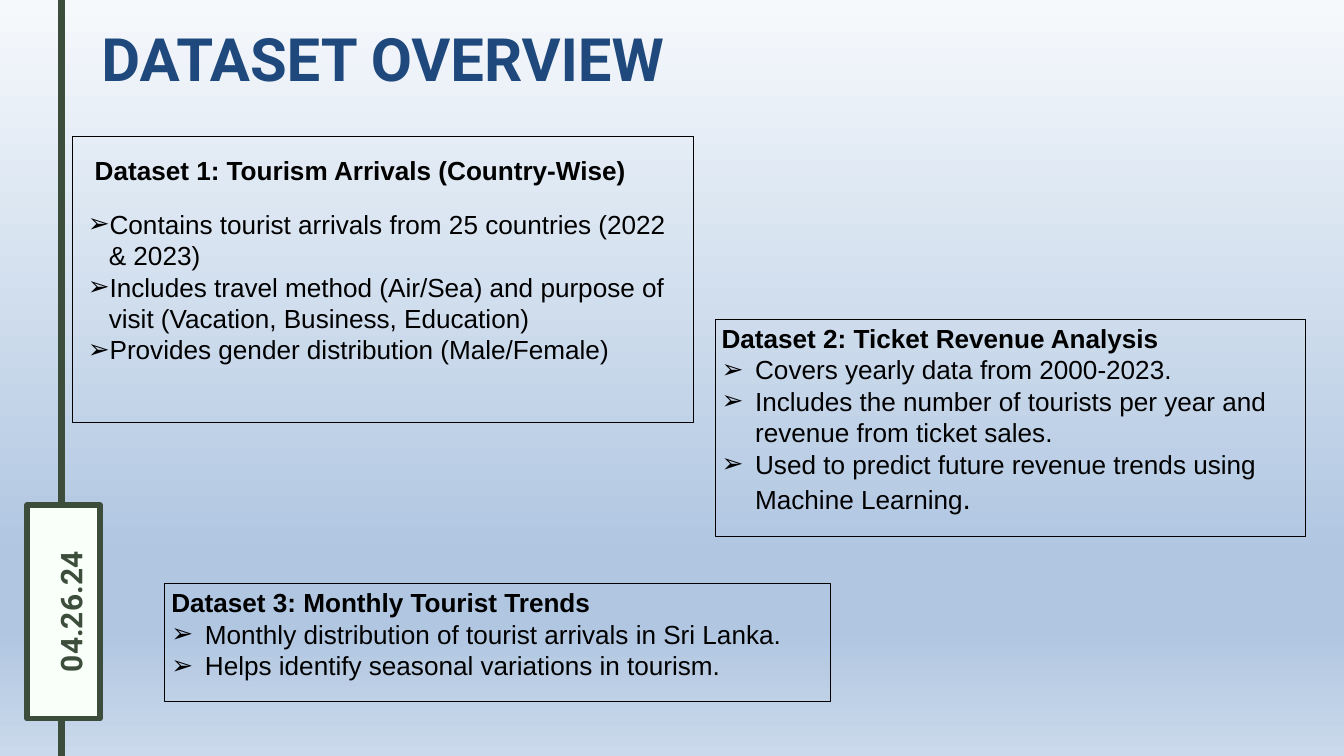
from copy import deepcopy

from lxml.etree import SubElement
from pptx import Presentation
from pptx.dml.color import RGBColor
from pptx.enum.shapes import MSO_CONNECTOR, MSO_SHAPE
from pptx.enum.text import MSO_ANCHOR, MSO_AUTO_SIZE, PP_ALIGN
from pptx.oxml.ns import qn
from pptx.util import Pt

WIDTH, HEIGHT = 1440, 810
BLACK = RGBColor(0x00, 0x00, 0x00)
NAVY = RGBColor(0x1F, 0x49, 0x7D)
MOSS = RGBColor(0x3D, 0x4D, 0x3B)
IVORY = RGBColor(0xF9, 0xFF, 0xF9)
SKY = (
    (0, RGBColor(0xF6, 0xF9, 0xFC)),
    (0.74, RGBColor(0xB0, 0xC6, 0xE1)),
    (0.83, RGBColor(0xB0, 0xC6, 0xE1)),
    (1, RGBColor(0xCA, 0xD9, 0xEB)),
)
TITLE_FONT = {"name": "Roboto", "size": Pt(64), "bold": True}
DATE_FONT = {"name": "Roboto", "size": Pt(32), "bold": True}
BODY_FONT = {"name": "Arial", "size": Pt(28), "bold": False}
HEADING_FONT = BODY_FONT | {"bold": True}
FULL_STOP_FONT = BODY_FONT | {"size": Pt(32)}
INSETS = (7.2, 3.6, 7.2, 3.6)
NO_INSETS = (0, 0, 0, 0)


def points(*lengths):
    """Convert numbers to point lengths."""
    return [Pt(length) for length in lengths]


def add_run(paragraph, text, font, color=BLACK):
    """Add a formatted run to a paragraph."""
    run = paragraph.add_run()
    run.text = text
    for name, value in font.items():
        setattr(run.font, name, value)
    run.font.color.rgb = color


def format_frame(shape, insets=INSETS):
    """Make the text of a shape wrap from the top, and return its frame."""
    frame = shape.text_frame
    sides = ("margin_left", "margin_top", "margin_right", "margin_bottom")
    values = dict(zip(sides, points(*insets)))
    values |= {"word_wrap": True, "vertical_anchor": MSO_ANCHOR.TOP,
               "auto_size": MSO_AUTO_SIZE.NONE}
    for name, value in values.items():
        setattr(frame, name, value)
    return frame


def add_bullet(paragraph, indent):
    """Give a paragraph an arrow bullet with a hanging indent."""
    properties = paragraph._p.get_or_add_pPr()
    properties.set("marL", str(Pt(indent)))
    properties.set("indent", str(-Pt(indent)))
    color = SubElement(properties, qn("a:buClr"))
    SubElement(color, qn("a:srgbClr")).set("val", str(BLACK))
    SubElement(properties, qn("a:buFont")).set("typeface", "Arial")
    SubElement(properties, qn("a:buChar")).set("char", "➢")


def fill_bullets(paragraphs, items, indent):
    """Write one bulleted item into each paragraph."""
    for paragraph, runs in zip(paragraphs, items):
        paragraph.alignment = PP_ALIGN.LEFT
        add_bullet(paragraph, indent)
        for text, font in runs:
            add_run(paragraph, text, font)


def add_rectangle(slide, box, line_color=BLACK, line_width=0.75, fill_color=None):
    """Add an outlined rectangle, with a fill if a colour is given."""
    shape = slide.shapes.add_shape(MSO_SHAPE.RECTANGLE, *points(*box))
    shape.shadow.inherit = False
    shape.line.color.rgb = line_color
    shape.line.width = Pt(line_width)
    if fill_color is None:
        shape.fill.background()
    else:
        shape.fill.solid()
        shape.fill.fore_color.rgb = fill_color
    return shape


def paint_background(slide):
    """Fill the slide with a gradient running from top to bottom."""
    fill = slide.background.fill
    fill.gradient()
    fill.gradient_angle = 270
    stop_list = slide.element.find(".//" + qn("a:gsLst"))
    while len(stop_list) < len(SKY):
        stop_list.append(deepcopy(stop_list[0]))
    for stop, (position, color) in zip(fill.gradient_stops, SKY):
        stop.color.rgb = color
        stop.position = position


def place_title(slide, box, text):
    """Move and format the title placeholder."""
    title = slide.shapes.title
    title.left, title.top, title.width, title.height = points(*box)
    paragraph = format_frame(title).paragraphs[0]
    paragraph.alignment = PP_ALIGN.LEFT
    add_run(paragraph, text, TITLE_FONT, NAVY)


def add_date_rail(slide, box, text):
    """Draw a full-height rail with a dated plate on it."""
    left, top, width, height = box
    center_x, center_y = left + width / 2, top + height / 2
    rail = slide.shapes.add_connector(
        MSO_CONNECTOR.STRAIGHT, *points(center_x - 2, HEIGHT, center_x - 2, 0))
    rail.line.color.rgb = MOSS
    rail.line.width = Pt(8)
    SubElement(rail._element.spPr, qn("a:effectLst"))
    add_rectangle(slide, box, MOSS, 6, IVORY)
    label_width, label_height = 242, 39
    label = slide.shapes.add_textbox(*points(
        center_x - label_width / 2, center_y - label_height / 2,
        label_width, label_height))
    label.rotation = 270
    paragraph = format_frame(label, NO_INSETS).paragraphs[0]
    paragraph.alignment = PP_ALIGN.CENTER
    paragraph.line_spacing = 1.2
    add_run(paragraph, text, DATE_FONT, MOSS)


def add_dataset_card(slide, box, heading, items):
    """Add an outlined card with a heading directly above its bullets."""
    frame = format_frame(add_rectangle(slide, box))
    paragraph = frame.paragraphs[0]
    paragraph.alignment = PP_ALIGN.LEFT
    add_run(paragraph, heading, HEADING_FONT)
    fill_bullets([frame.add_paragraph() for _ in items], items, 36)


def add_spaced_card(slide, box, heading, items):
    """Add an outlined card with its heading set apart from its bullets."""
    left, top, width, _ = box
    add_rectangle(slide, box)
    heading_box = slide.shapes.add_textbox(*points(left + 24.5, top + 9.5, 584, 44))
    paragraph = format_frame(heading_box, NO_INSETS).paragraphs[0]
    paragraph.line_spacing = 1.3
    add_run(paragraph, heading, HEADING_FONT)
    body = slide.shapes.add_textbox(*points(left + 10, top + 73.5, width - 33, 177))
    frame = format_frame(body)
    paragraphs = [frame.paragraphs[0]] + [frame.add_paragraph() for _ in items[1:]]
    fill_bullets(paragraphs, items, 22.5)


def main():
    """Build and save the dataset overview slide."""
    presentation = Presentation()
    presentation.slide_width, presentation.slide_height = points(WIDTH, HEIGHT)
    slide = presentation.slides.add_slide(presentation.slide_layouts[5])
    paint_background(slide)
    add_date_rail(slide, (29, 541, 78, 229), "04.26.24")
    place_title(slide, (101.5, 20, 736.5, 101.5), "DATASET OVERVIEW")
    add_spaced_card(slide, (77, 146, 666, 307), "Dataset 1: Tourism Arrivals (Country-Wise)", [
        [("Contains tourist arrivals from 25 countries (2022 & 2023)", BODY_FONT)],
        [("Includes travel method (Air/Sea) and purpose of visit "
          "(Vacation, Business, Education)", BODY_FONT)],
        [("Provides gender distribution (Male/Female)", BODY_FONT)],
    ])
    add_dataset_card(slide, (766, 342, 633, 232.5), "Dataset 2: Ticket Revenue Analysis", [
        [("Covers yearly data from 2000-2023.", BODY_FONT)],
        [("Includes the number of tourists per year and revenue from ticket sales.",
          BODY_FONT)],
        [("Used to predict future revenue trends using Machine Learning", BODY_FONT),
         (".", FULL_STOP_FONT)],
    ])
    add_dataset_card(slide, (176.5, 625, 713.5, 126), "Dataset 3: Monthly Tourist Trends", [
        [("Monthly distribution of tourist arrivals in Sri Lanka.", BODY_FONT)],
        [("Helps identify seasonal variations in tourism.", BODY_FONT)],
    ])
    presentation.save("out.pptx")


if __name__ == "__main__":
    main()
